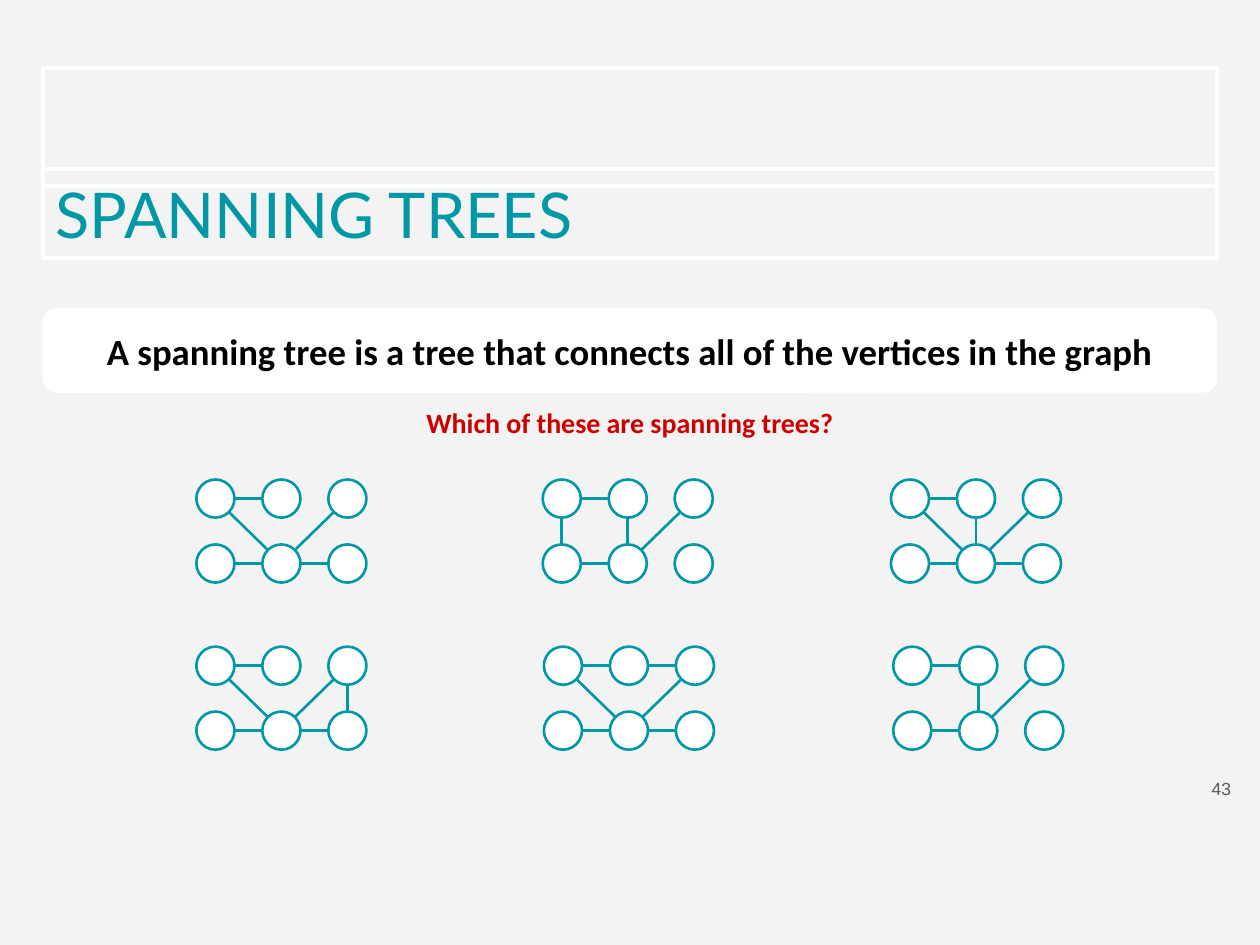
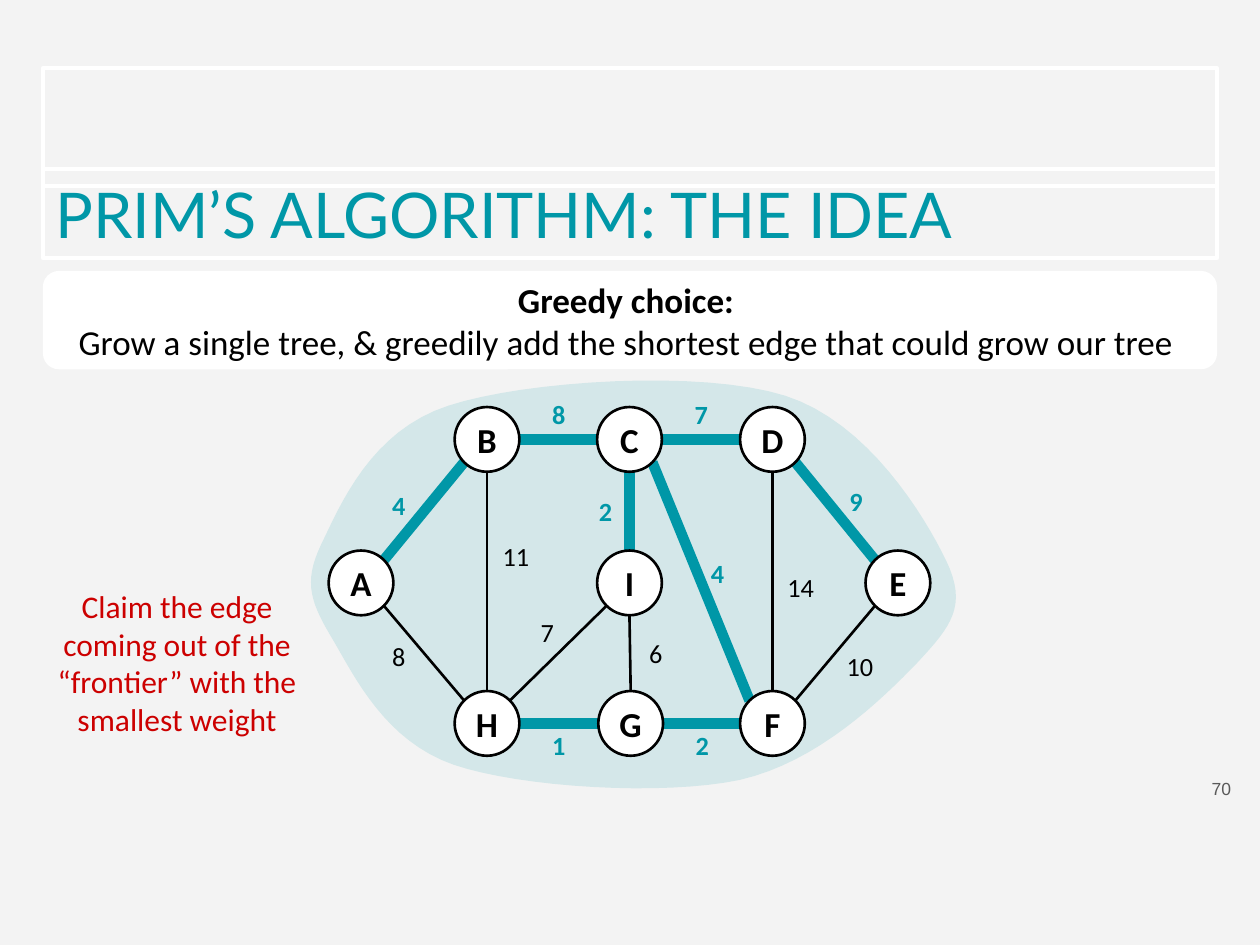
from math import atan2, cos, pi, sin

from lxml import etree
from pptx import Presentation
from pptx.dml.color import RGBColor
from pptx.enum.shapes import MSO_CONNECTOR, MSO_SHAPE
from pptx.enum.text import MSO_ANCHOR, MSO_AUTO_SIZE, PP_ALIGN
from pptx.oxml.ns import qn
from pptx.util import Pt

BACKGROUND = RGBColor(0xF3, 0xF3, 0xF3)
WHITE = RGBColor(0xFF, 0xFF, 0xFF)
BLACK = RGBColor(0x00, 0x00, 0x00)
TEAL = RGBColor(0x00, 0x97, 0xA7)
PALE_TEAL = RGBColor(0xD4, 0xE7, 0xE9)
RED = RGBColor(0xCC, 0x00, 0x00)
GRAY = RGBColor(0x59, 0x59, 0x59)

LEFT, CENTER, RIGHT = PP_ALIGN.LEFT, PP_ALIGN.CENTER, PP_ALIGN.RIGHT
MIDDLE = MSO_ANCHOR.MIDDLE
NO_AUTOFIT = MSO_AUTO_SIZE.NONE
RECTANGLE = MSO_SHAPE.RECTANGLE
ROUNDED = MSO_SHAPE.ROUNDED_RECTANGLE
OVAL = MSO_SHAPE.OVAL
STRAIGHT = MSO_CONNECTOR.STRAIGHT

TITLE_ONLY = 5
MARGIN, CONTENT_WIDTH = 24.5, 671
BAND_BOX = (MARGIN, 38.9, CONTENT_WIDTH, 67.7)
TITLE_BOX = (MARGIN, 96.5, CONTENT_WIDTH, 51.1)
NUMBER_BOX = (667.4, 434.9, 43.2, 31)
CORNER = 0.163
INSET = 7.2

THIN, THICK, FRAME = 1.5, 6, 2.25

CANDIDATE_DIAMETER = 21.8
CANDIDATE_GRID = {
    row * 3 + column: (10.9 + 37.7 * column, 10.9 + 37.1 * row)
    for row in range(2) for column in range(3)
}
CANDIDATE_ROWS = [
    (274, [
        (112.2, ["01", "04", "24", "34", "45"]),
        (310.1, ["01", "03", "14", "24", "34"]),
        (509.1, ["01", "04", "14", "24", "34", "45"]),
    ]),
    (369.5, [
        (112.2, ["01", "04", "24", "25", "34", "45"]),
        (310.8, ["01", "12", "04", "24", "34", "45"]),
        (510.4, ["01", "14", "24", "34"]),
    ]),
]

WEIGHTED_ORIGIN = (188, 232.6)
WEIGHTED_DIAMETER = 37
WEIGHTED_VERTICES = {
    "A": (18.3, 100.5), "B": (90.3, 18.5), "C": (171.7, 18.5),
    "D": (253.4, 18.5), "E": (325.1, 100.5), "F": (253.4, 180.8),
    "G": (172.4, 180.8), "H": (90.3, 180.8), "I": (171.7, 100.5),
}
TREE_EDGES = {
    "AB": ("4", 39.9, 55.8), "BC": ("8", 131.3, 3.9),
    "CD": ("7", 212.7, 3.9), "CI": ("2", 158, 59.4),
    "CF": ("4", 222, 94.6), "DE": ("9", 301.2, 53.6),
    "HG": ("1", 131.3, 193.3), "GF": ("2", 213.4, 193.3),
}
OTHER_EDGES = {
    "AH": ("8", 39.9, 142.2), "BH": ("11", 106.8, 85.3),
    "HI": ("7", 124.8, 128.5), "IG": ("6", 186.8, 140.7),
    "DF": ("14", 269.6, 102.6), "FE": ("10", 303.4, 147.9),
}
WEIGHT_SIDE = 30
FRONTIER_START = (-4.4, 78.4)
FRONTIER_CURVES = [
    ((6.4, 56.1), (23.7, 13.6), (68.3, -0.8)),
    ((112.2, -15.2), (213, -21.6), (260.6, -6.5)),
    ((308.1, 8.6), (340.5, 62.6), (352.7, 87.8)),
    ((365, 113.7), (355.6, 125.2), (336.2, 146.1)),
    ((316, 167), (279.3, 203), (234.6, 213.1)),
    ((190.7, 222.4), (109.4, 217.4), (71.2, 204.4)),
    ((32.3, 190.8), (15, 154.8), (2.8, 133.9)),
    ((-10.2, 112.3), (-15.2, 100.8), FRONTIER_START),
]
CURVE_STEPS = 16


def assign(target, values):
    """Set each named value on the target."""
    for name, value in values.items():
        setattr(target, name, value)


def points(box):
    """Turn a box of plain numbers into lengths."""
    return [Pt(value) for value in box]


def write(shape, runs, size, color, font="Calibri", align=CENTER, side=INSET):
    """Fill a shape with one paragraph of (text, bold) runs, one per line."""
    frame = shape.text_frame
    assign(frame, {
        "word_wrap": True, "auto_size": NO_AUTOFIT, "vertical_anchor": MIDDLE,
        "margin_left": Pt(side), "margin_right": Pt(side),
        "margin_top": Pt(INSET), "margin_bottom": Pt(INSET),
    })
    paragraph = frame.paragraphs[0]
    paragraph.alignment = align
    for index, (text, bold) in enumerate(runs):
        if index:
            paragraph.add_line_break()
        run = paragraph.add_run()
        run.text = text
        assign(run.font, {"name": font, "size": Pt(size), "bold": bold})
        run.font.color.rgb = color


def paint(shape, fill=None, outline=None, width=THIN):
    """Give a shape its fill and outline, or none, without a shadow."""
    if fill is None:
        shape.fill.background()
    else:
        shape.fill.solid()
        shape.fill.fore_color.rgb = fill
    if outline is None:
        shape.line.fill.background()
    else:
        shape.line.color.rgb = outline
        shape.line.width = Pt(width)


def add_preset(slide, kind, box, **look):
    """Add a flat preset shape."""
    shape = slide.shapes.add_shape(kind, *points(box))
    shape.shadow.inherit = False
    paint(shape, **look)
    return shape


def add_note(slide, box, text, size, color, bold=False, **layout):
    """Add a text box with a single run."""
    write(slide.shapes.add_textbox(*points(box)), [(text, bold)], size, color, **layout)


def start_slide(deck, heading, number):
    """Add a slide with the shared band, title and page number."""
    slide = deck.slides.add_slide(deck.slide_layouts[TITLE_ONLY])
    add_preset(slide, RECTANGLE, BAND_BOX, outline=WHITE, width=FRAME)
    title = slide.shapes.title
    assign(title, dict(zip(("left", "top", "width", "height"), points(TITLE_BOX))))
    paint(title, outline=WHITE, width=FRAME)
    write(title, [(heading, False)], 36, TEAL, font="Lato", align=LEFT)
    add_note(slide, NUMBER_BOX, number, 10, GRAY, font="Arial", align=RIGHT)
    return slide


def add_banner(slide, top, height, runs, size):
    """Add the white rounded statement across the content width."""
    banner = add_preset(slide, ROUNDED, (MARGIN, top, CONTENT_WIDTH, height), fill=WHITE)
    banner.adjustments[0] = CORNER
    write(banner, runs, size, BLACK)


def rim_point(center, toward, radius):
    """Find the eighth of a vertex rim that faces another vertex."""
    (x, y), (other_x, other_y) = center, toward
    angle = round(atan2(other_y - y, other_x - x) / (pi / 4)) * pi / 4
    return x + radius * cos(angle), y + radius * sin(angle)


def add_edges(slide, origin, vertices, edges, diameter, color, width):
    """Join pairs of vertices from rim to rim."""
    left, top = origin
    for start, end in edges:
        first, second = vertices[start], vertices[end]
        x1, y1 = rim_point(first, second, diameter / 2)
        x2, y2 = rim_point(second, first, diameter / 2)
        ends = points((left + x1, top + y1, left + x2, top + y2))
        edge = slide.shapes.add_connector(STRAIGHT, *ends)
        edge.line.color.rgb = color
        edge.line.width = Pt(width)
        etree.SubElement(edge._element.spPr, qn("a:effectLst"))


def add_vertices(slide, origin, vertices, diameter, outline):
    """Draw the vertices and return them by key."""
    left, top = origin
    return {
        key: add_preset(
            slide, OVAL,
            (left + x - diameter / 2, top + y - diameter / 2, diameter, diameter),
            fill=WHITE, outline=outline)
        for key, (x, y) in vertices.items()
    }


def add_candidate(slide, origin, edges):
    """Draw one six-vertex graph that may be a spanning tree."""
    pairs = [(int(start), int(end)) for start, end in edges]
    add_edges(slide, origin, CANDIDATE_GRID, pairs, CANDIDATE_DIAMETER, TEAL, THIN)
    add_vertices(slide, origin, CANDIDATE_GRID, CANDIDATE_DIAMETER, TEAL)


def add_frontier(slide, origin):
    """Draw the smooth area that surrounds the grown tree."""
    left, top = origin
    outline, start = [], FRONTIER_START
    for curve in FRONTIER_CURVES:
        controls = (start, *curve)
        for step in range(1, CURVE_STEPS + 1):
            t = step / CURVE_STEPS
            shares = ((1 - t) ** 3, 3 * t * (1 - t) ** 2, 3 * t * t * (1 - t), t ** 3)
            x, y = (sum(s * c[axis] for s, c in zip(shares, controls)) for axis in (0, 1))
            outline.append((Pt(left + x), Pt(top + y)))
        start = curve[-1]
    builder = slide.shapes.build_freeform(*outline[-1])
    builder.add_line_segments(outline, close=True)
    area = builder.convert_to_shape()
    area.shadow.inherit = False
    paint(area, fill=PALE_TEAL)


def add_weighted_graph(slide, origin):
    """Draw the weighted graph with its tree edges in bold."""
    left, top = origin
    add_frontier(slide, origin)
    groups = [(TREE_EDGES, TEAL, THICK, True), (OTHER_EDGES, BLACK, THIN, False)]
    for edges, color, _, bold in groups:
        for weight, x, y in edges.values():
            box = (left + x - WEIGHT_SIDE / 2, top + y - WEIGHT_SIDE / 2,
                   WEIGHT_SIDE, WEIGHT_SIDE)
            add_note(slide, box, weight, 15, color, bold, side=0)
    for edges, color, width, _ in groups:
        add_edges(slide, origin, WEIGHTED_VERTICES, edges, WEIGHTED_DIAMETER, color, width)
    vertices = add_vertices(slide, origin, WEIGHTED_VERTICES, WEIGHTED_DIAMETER, BLACK)
    for letter, vertex in vertices.items():
        write(vertex, [(letter, True)], 20, BLACK, side=0)


def build_spanning_trees(deck):
    """Build the slide that asks which graphs are spanning trees."""
    slide = start_slide(deck, "SPANNING TREES", "43")
    statement = "A spanning tree is a tree that connects all of the vertices in the graph"
    add_banner(slide, 176.3, 48.2, [(statement, True)], 21)
    add_note(slide, (MARGIN, 225.6, CONTENT_WIDTH, 31),
             "Which of these are spanning trees?", 16, RED, True)
    for top, candidates in CANDIDATE_ROWS:
        for left, edges in candidates:
            add_candidate(slide, (left, top), edges)


def build_prim_idea(deck):
    """Build the slide on the greedy choice in Prim's algorithm."""
    slide = start_slide(deck, "PRIM’S ALGORITHM: THE IDEA", "70")
    add_banner(slide, 154.8, 56.2, [
        ("Greedy choice: ", True),
        ("Grow a single tree, & greedily add the shortest edge "
         "that could grow our tree ", False),
    ], 20)
    add_weighted_graph(slide, WEIGHTED_ORIGIN)
    add_note(slide, (MARGIN, 317.5, 153.4, 122),
             "Claim the edge coming out of the “frontier” with the smallest weight",
             18, RED)


def main():
    """Build and save the deck."""
    deck = Presentation()
    assign(deck, {"slide_width": Pt(720), "slide_height": Pt(540)})
    backdrop = deck.slide_master.background.fill
    backdrop.solid()
    backdrop.fore_color.rgb = BACKGROUND
    build_spanning_trees(deck)
    build_prim_idea(deck)
    deck.save("out.pptx")


if __name__ == "__main__":
    main()
